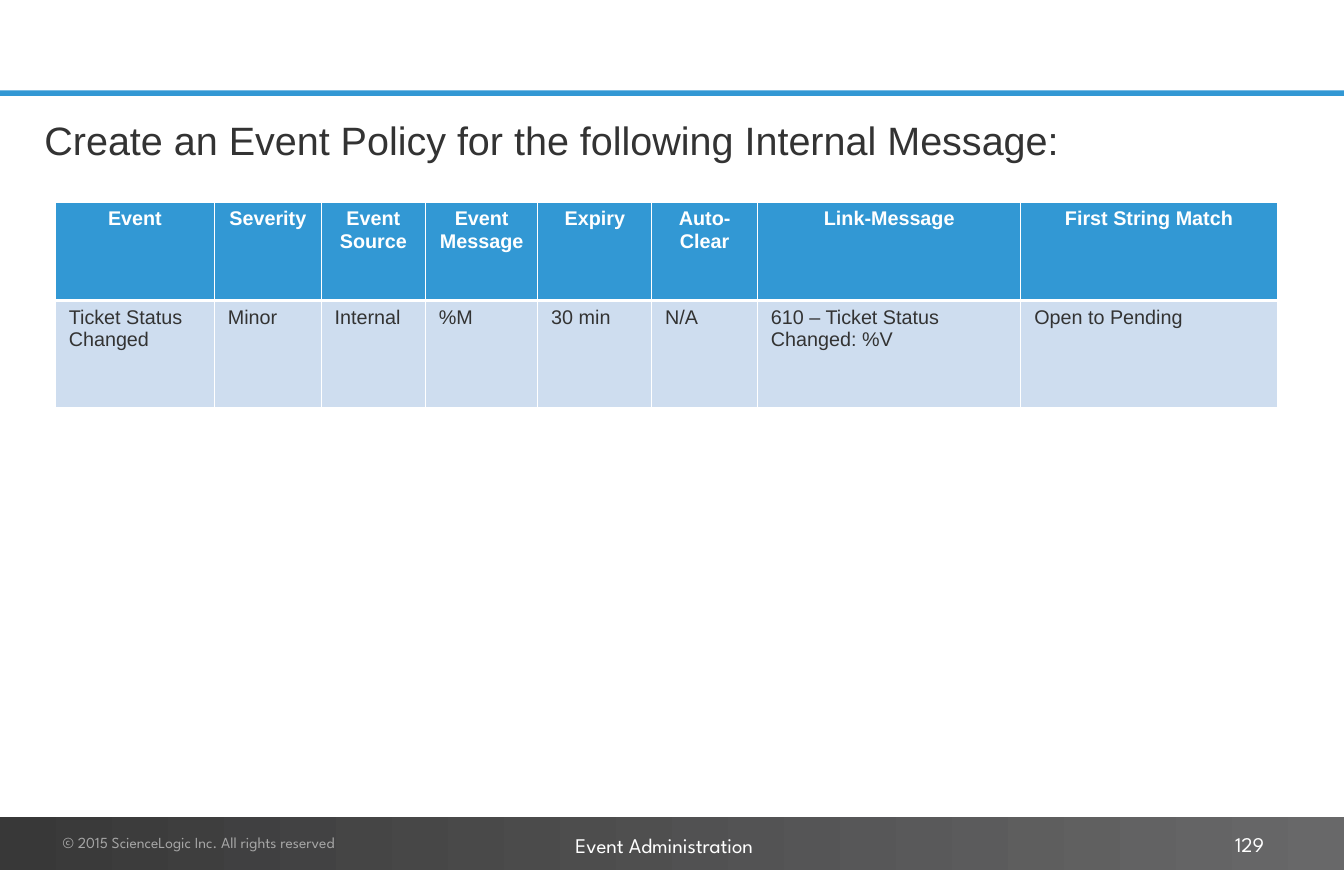
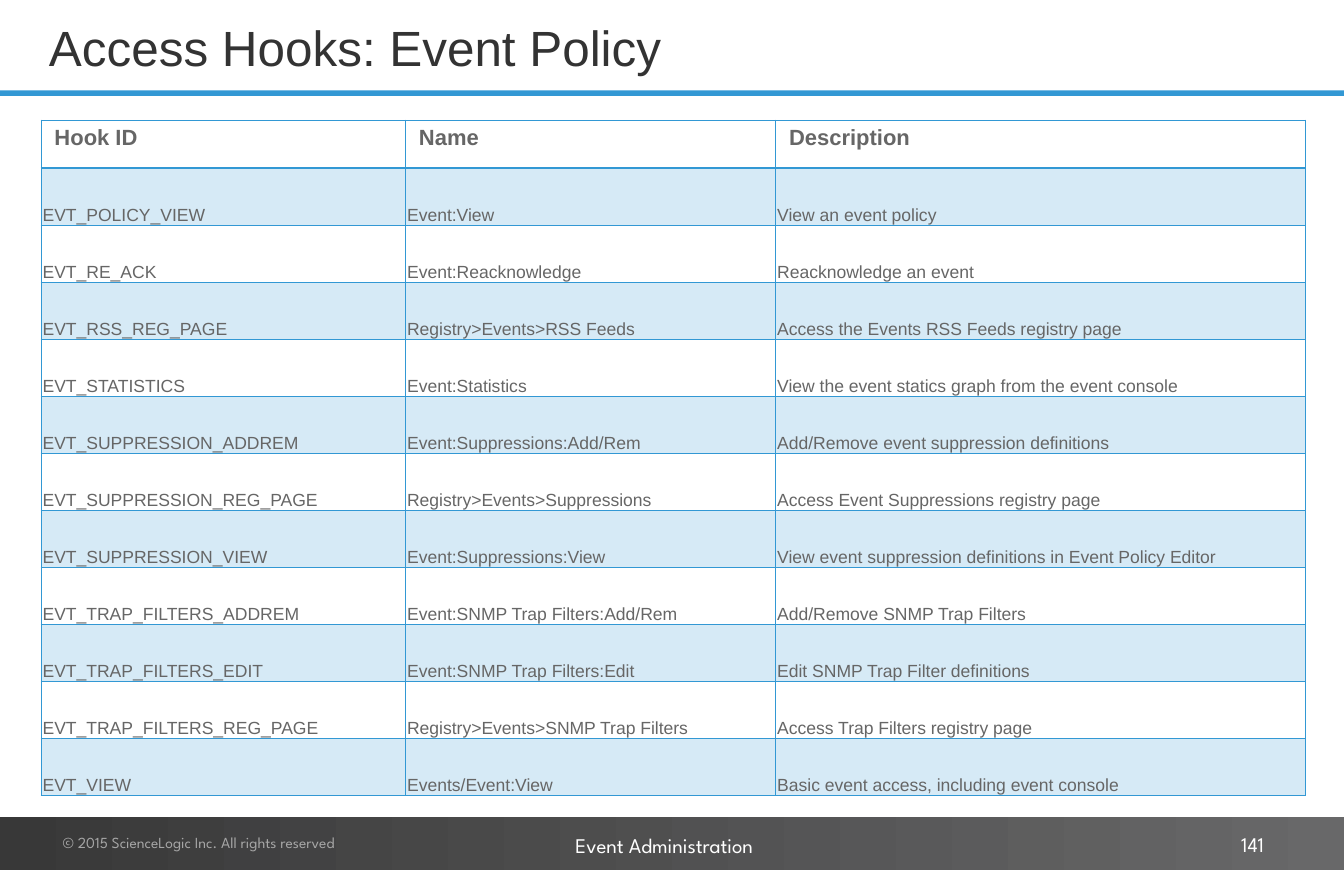
from lxml.etree import SubElement
from pptx import Presentation
from pptx.dml.color import RGBColor
from pptx.enum.shapes import MSO_SHAPE as Shape
from pptx.enum.text import MSO_ANCHOR as Anchor, MSO_AUTO_SIZE as AutoSize, PP_ALIGN as Align
from pptx.oxml import parse_xml
from pptx.oxml.ns import nsdecls, qn
from pptx.util import Cm, Pt

COLORS = {
    "blue": "3298D4", "pale": "CEDDEF", "white": "FFFFFF",
    "dark": "333333", "gray": "666666", "copyright": "A6A6A6",
    "footer_start": "383838", "footer_end": "686869",
}
BODY_FONT, FOOTER_FONT = "Arial", "League Spartan"
SLIDE_W, SLIDE_H = 43.18, 27.94
FOOTER_H = 1.7

POLICY_WIDTHS = [5.11, 3.43, 3.35, 3.61, 3.66, 3.4, 8.46, 8.23]
POLICY_ROWS = [
    ["Event", "Severity", "Event Source", "Event Message", "Expiry",
     "Auto-Clear", "Link-Message", "First String Match"],
    ["Ticket Status Changed", "Minor", "Internal", "%M", "30 min",
     "N/A", "610 – Ticket Status Changed: %V", "Open to Pending"],
]
HOOK_WIDTHS = [11.71, 11.89, 17.02]
HOOK_ROWS = [
    ["Hook ID", "Name", "Description"],
    ["EVT_POLICY_VIEW", "Event:View", "View an event policy"],
    ["EVT_RE_ACK", "Event:Reacknowledge", "Reacknowledge an event"],
    ["EVT_RSS_REG_PAGE", "Registry>Events>RSS Feeds",
     "Access the Events RSS Feeds registry page"],
    ["EVT_STATISTICS", "Event:Statistics",
     "View the event statics graph from the event console"],
    ["EVT_SUPPRESSION_ADDREM", "Event:Suppressions:Add/Rem",
     "Add/Remove event suppression definitions"],
    ["EVT_SUPPRESSION_REG_PAGE", "Registry>Events>Suppressions",
     "Access Event Suppressions registry page"],
    ["EVT_SUPPRESSION_VIEW", "Event:Suppressions:View",
     "View event suppression definitions in Event Policy Editor"],
    ["EVT_TRAP_FILTERS_ADDREM", "Event:SNMP Trap Filters:Add/Rem",
     "Add/Remove SNMP Trap Filters"],
    ["EVT_TRAP_FILTERS_EDIT", "Event:SNMP Trap Filters:Edit",
     "Edit SNMP Trap Filter definitions"],
    ["EVT_TRAP_FILTERS_REG_PAGE", "Registry>Events>SNMP Trap Filters",
     "Access Trap Filters registry page"],
    ["EVT_VIEW", "Events/Event:View", "Basic event access, including event console"],
]


def rgb(name):
    return RGBColor.from_string(COLORS[name])


def write_text(frame, text, size, color="dark", font=BODY_FONT, bold=False, align=Align.LEFT):
    paragraph = frame.paragraphs[0]
    paragraph.alignment = align
    run = paragraph.add_run()
    run.text = text
    run.font.name, run.font.size, run.font.bold = font, Pt(size), bold
    run.font.color.rgb = rgb(color)


def set_margins(target, left, top, right, bottom):
    target.margin_left, target.margin_top = Cm(left), Cm(top)
    target.margin_right, target.margin_bottom = Cm(right), Cm(bottom)


# Shared parts: title, rule and footer
def add_title(slide, text, box, size, anchor):
    title = slide.shapes.title
    title.left, title.top, title.width, title.height = map(Cm, box)
    frame = title.text_frame
    frame.word_wrap, frame.auto_size = True, AutoSize.NONE
    frame.vertical_anchor = anchor
    write_text(frame, text, size)


def add_band(slide, top, height):
    band = slide.shapes.add_shape(Shape.RECTANGLE, 0, Cm(top), Cm(SLIDE_W), Cm(height))
    band.shadow.inherit = False
    band.line.fill.background()
    return band.fill


def add_footer_text(slide, text, box, size=19, color="white", anchor=Anchor.TOP,
                    wrap=True, align=Align.LEFT):
    frame = slide.shapes.add_textbox(*map(Cm, box)).text_frame
    frame.word_wrap, frame.vertical_anchor = wrap, anchor
    set_margins(frame, 0.41, 0.2, 0.41, 0.2)
    write_text(frame, text, size, color, FOOTER_FONT, align=align)


def add_frame(slide, number):
    rule = add_band(slide, 2.9, 0.18)
    rule.solid()
    rule.fore_color.rgb = rgb("blue")
    top = SLIDE_H - FOOTER_H
    footer = add_band(slide, top, FOOTER_H)
    footer.gradient()
    footer.gradient_angle = 0
    for stop, name, position in zip(footer.gradient_stops, ("footer_start", "footer_end"), (0, 1)):
        stop.color.rgb, stop.position = rgb(name), position
    add_footer_text(slide, "© 2015 ScienceLogic Inc. All rights reserved",
                    (1.6, top + 0.33, 12.7, 1.02), size=14, color="copyright")
    add_footer_text(slide, "Event Administration", (18.08, top + 0.3, 7.01, 1.22), wrap=False)
    add_footer_text(slide, str(number), (30.94, top + 0.33, 10.08, 1.09),
                    anchor=Anchor.MIDDLE, align=Align.RIGHT)


# Tables
def set_borders(cell, color, top=1, bottom=1):
    properties = cell._tc.get_or_add_tcPr()
    for index, (side, width) in enumerate(zip("LRTB", (1, 1, top, bottom))):
        properties.insert(index, parse_xml(
            f'<a:ln{side} {nsdecls("a")} w="{Pt(width)}"><a:solidFill>'
            f'<a:srgbClr val="{COLORS[color]}"/></a:solidFill></a:ln{side}>'))


def set_fill(cell, color, opacity=100):
    if color is None:
        cell.fill.background()
        return
    cell.fill.solid()
    cell.fill.fore_color.rgb = rgb(color)
    if opacity < 100:
        fill_color = cell._tc.tcPr.find(qn("a:solidFill")).find(qn("a:srgbClr"))
        SubElement(fill_color, qn("a:alpha")).set("val", str(opacity * 1000))


def add_grid(slide, left, top, widths, heights, rows, line, header_line, style_cell):
    """Place a table; style_cell(cell, text, row index) formats each cell."""
    table = slide.shapes.add_table(len(rows), len(widths), Cm(left), Cm(top),
                                   Cm(sum(widths)), Cm(sum(heights))).table
    table.first_row = table.horz_banding = False
    for column, width in zip(table.columns, widths):
        column.width = Cm(width)
    for r, texts in enumerate(rows):
        table.rows[r].height = Cm(heights[r])
        for c, text in enumerate(texts):
            cell = table.cell(r, c)
            set_margins(cell, 0.43, 0.18, 0.43, 0.18)
            style_cell(cell, text, r)
            set_borders(cell, line, top=header_line if r == 1 else 1,
                        bottom=header_line if r == 0 else 1)


def style_policy_cell(cell, text, row):
    if row == 0:
        set_fill(cell, "blue")
        write_text(cell.text_frame, text, 18, "white", bold=True, align=Align.CENTER)
    else:
        set_fill(cell, "pale")
        write_text(cell.text_frame, text, 18)


def style_hook_cell(cell, text, row):
    set_fill(cell, "blue" if row % 2 else None, opacity=20)
    if row:
        set_margins(cell, 0.05, 0.05, 0.05, 0)
        cell.vertical_anchor = Anchor.BOTTOM
    write_text(cell.text_frame, text, 16 if row else 20, "gray", bold=row == 0)


# Slides
def add_policy_slide(slide):
    add_frame(slide, 129)
    add_title(slide, "Create an Event Policy for the following Internal Message:",
              (1.17, 3.61, 40.79, 1.8), 36, Anchor.TOP)
    add_grid(slide, 1.78, 6.5, POLICY_WIDTHS, [3.15, 3.43], POLICY_ROWS,
             "white", 3, style_policy_cell)


def add_hooks_slide(slide):
    add_frame(slide, 141)
    add_title(slide, "Access Hooks: Event Policy", (1.32, 0.03, 37.72, 2.97), 45, Anchor.MIDDLE)
    heights = [1.55] + [1.83] * (len(HOOK_ROWS) - 1)
    add_grid(slide, 1.32, 3.86, HOOK_WIDTHS, heights, HOOK_ROWS, "blue", 2, style_hook_cell)


def main():
    deck = Presentation()
    deck.slide_width, deck.slide_height = Cm(SLIDE_W), Cm(SLIDE_H)
    title_only = deck.slide_layouts[5]
    for build in (add_policy_slide, add_hooks_slide):
        build(deck.slides.add_slide(title_only))
    deck.save("out.pptx")


if __name__ == "__main__":
    main()
